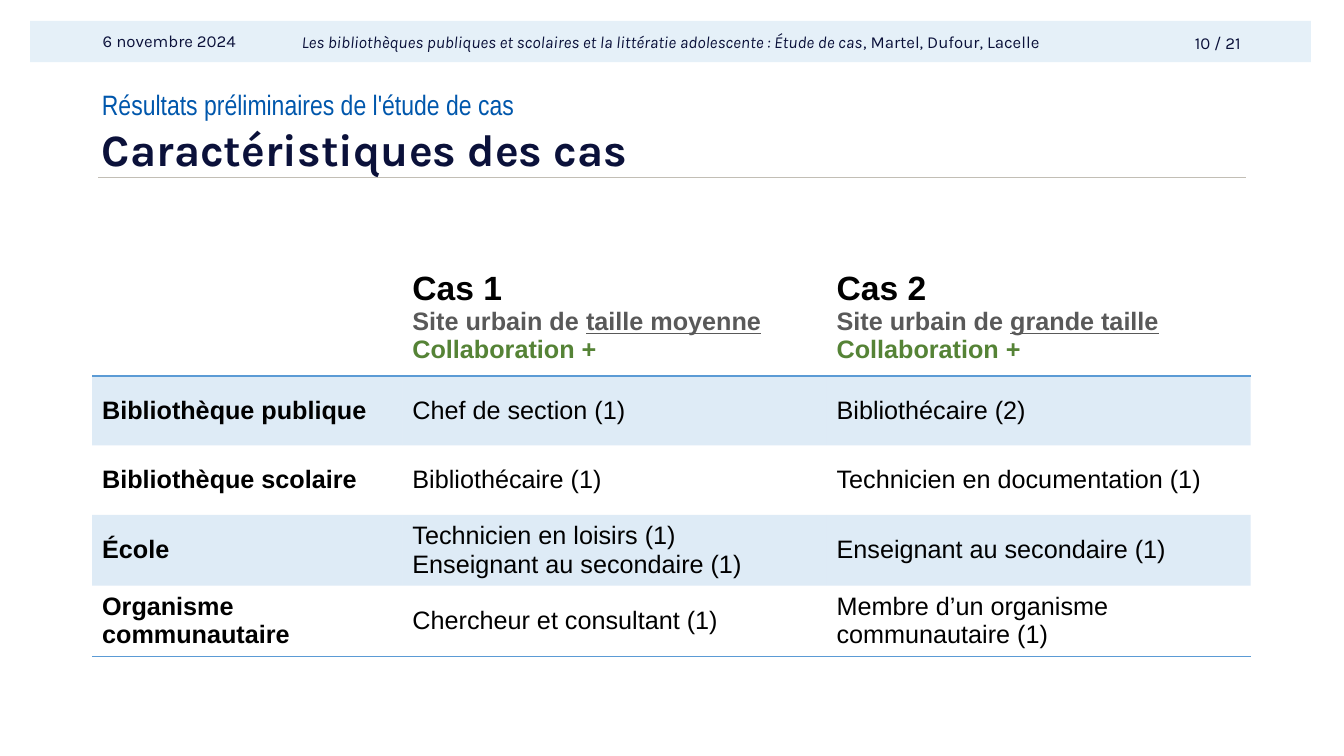
from lxml.etree import SubElement
from pptx import Presentation
from pptx.dml.color import RGBColor
from pptx.enum.shapes import MSO_CONNECTOR, MSO_SHAPE
from pptx.enum.text import MSO_ANCHOR, PP_ALIGN
from pptx.oxml.ns import qn
from pptx.util import Cm, Pt

NAVY = RGBColor(0x0B, 0x11, 0x3A)
BLUE = RGBColor(0x00, 0x57, 0xAC)
PALE_BLUE = RGBColor(0xE5, 0xF0, 0xF8)
TABLE_BLUE = RGBColor(0x5B, 0x9B, 0xD5)
RULE_GREY = RGBColor(0xC2, 0xBE, 0xB5)
TEXT_GREY = RGBColor(0x59, 0x59, 0x59)
GREEN = RGBColor(0x55, 0x83, 0x36)
BLACK = RGBColor(0x00, 0x00, 0x00)
NO_STYLE = "{2D5ABB26-0587-4C30-8999-92F81FD0307C}"


def add_run(paragraph, text, size, color, font="Arial", bold=False, italic=False, underline=False):
    run = paragraph.add_run()
    run.text = text
    run.font.name = font
    run.font.size = Pt(size)
    run.font.color.rgb = color
    run.font.bold = bold
    run.font.italic = italic
    run.font.underline = underline


def add_label(left, top, width, height, anchor, wrap=True):
    shape = slide.shapes.add_textbox(Cm(left), Cm(top), Cm(width), Cm(height))
    shape.text_frame.word_wrap = wrap
    shape.text_frame.vertical_anchor = anchor
    return shape.text_frame.paragraphs[0]


presentation = Presentation()
presentation.slide_width = Cm(33.87)
presentation.slide_height = Cm(19.05)
slide = presentation.slides.add_slide(presentation.slide_layouts[6])

banner = slide.shapes.add_shape(MSO_SHAPE.RECTANGLE, Cm(0.76), Cm(0.53), Cm(32.28), Cm(1.04))
banner.shadow.inherit = False
banner.fill.solid()
banner.fill.fore_color.rgb = PALE_BLUE
banner.line.fill.background()
banner.text_frame.vertical_anchor = MSO_ANCHOR.MIDDLE
paragraph = banner.text_frame.paragraphs[0]
paragraph.alignment = PP_ALIGN.CENTER
add_run(paragraph, "Les bibliothèques publiques et scolaires et la littératie adolescente : Étude de cas",
        12, NAVY, "Karla", italic=True)
add_run(paragraph, ", Martel, Dufour, Lacelle", 12, NAVY, "Karla")

paragraph = add_label(29.62, 0.69, 1.9, 0.76, MSO_ANCHOR.TOP, wrap=False)
paragraph.alignment = PP_ALIGN.RIGHT
add_run(paragraph, "10 / 21", 12, NAVY, "Karla")

paragraph = add_label(2.34, 0.53, 7.62, 1.02, MSO_ANCHOR.MIDDLE)
add_run(paragraph, "6 novembre 2024", 12, NAVY, "Karla")

paragraph = add_label(2.32, 2.08, 29.2, 0.89, MSO_ANCHOR.TOP)
add_run(paragraph, "Résultats préliminaires de l'étude de cas", 20, BLUE, "Arial Narrow")

title_rule = slide.shapes.add_connector(MSO_CONNECTOR.STRAIGHT, Cm(2.47), Cm(4.47), Cm(31.4), Cm(4.47))
title_rule.line.color.rgb = RULE_GREY
title_rule.line.width = Pt(1)
SubElement(title_rule._element.spPr, qn("a:effectLst"))

paragraph = add_label(2.32, 3, 29.2, 1.65, MSO_ANCHOR.MIDDLE)
paragraph.line_spacing = 0.9
add_run(paragraph, "Caractéristiques des cas", 32, NAVY, "Karla", bold=True)

case_headers = [("Cas 1", "taille moyenne"), ("Cas 2", "grande taille")]
participants = [
    ("Bibliothèque publique", "Chef de section (1)", "Bibliothécaire\u00a0(2)"),
    ("Bibliothèque scolaire", "Bibliothécaire (1)", "Technicien en documentation (1)"),
    ("École", "Technicien en loisirs (1)\nEnseignant au secondaire (1)", "Enseignant au secondaire (1)"),
    ("Organisme communautaire", "Chercheur et consultant (1)", "Membre d’un organisme communautaire (1)"),
]
column_widths = [7.82, 10.69, 10.69]
row_heights = [2.64] + [1.75] * len(participants)

table_frame = slide.shapes.add_table(len(row_heights), len(column_widths), Cm(2.32), Cm(6.68),
                                     Cm(sum(column_widths)), Cm(sum(row_heights)))
table = table_frame.table
table.first_row = False
table.horz_banding = False
table._tbl.tblPr.find(qn("a:tableStyleId")).text = NO_STYLE
for column, width in zip(table.columns, column_widths):
    column.width = Cm(width)
for row, height in zip(table.rows, row_heights):
    row.height = Cm(height)

for column_index, (case, town_size) in enumerate(case_headers, start=1):
    text_frame = table.cell(0, column_index).text_frame
    add_run(text_frame.paragraphs[0], case, 24, BLACK, bold=True)
    paragraph = text_frame.add_paragraph()
    add_run(paragraph, "Site urbain de ", 18, TEXT_GREY, bold=True)
    add_run(paragraph, town_size, 18, TEXT_GREY, bold=True, underline=True)
    add_run(text_frame.add_paragraph(), "Collaboration +", 18, GREEN, bold=True)

for row_index, entries in enumerate(participants, start=1):
    for column_index, entry in enumerate(entries):
        cell = table.cell(row_index, column_index)
        cell.vertical_anchor = MSO_ANCHOR.MIDDLE
        for line_index, line in enumerate(entry.split("\n")):
            text_frame = cell.text_frame
            paragraph = text_frame.add_paragraph() if line_index else text_frame.paragraphs[0]
            add_run(paragraph, line, 18, BLACK, bold=column_index == 0)

last_row = len(participants)
for row_index, row in enumerate(table.rows):
    for cell in row.cells:
        if row_index in (0, last_row):
            border = SubElement(cell._tc.get_or_add_tcPr(), qn("a:lnB"), w=str(Pt(1)))
            border_fill = SubElement(border, qn("a:solidFill"))
            SubElement(border_fill, qn("a:srgbClr"), val=str(TABLE_BLUE))
        if row_index % 2:
            cell.fill.solid()
            cell.fill.fore_color.rgb = TABLE_BLUE
            color = cell._tc.tcPr.find(qn("a:solidFill")).find(qn("a:srgbClr"))
            SubElement(color, qn("a:alpha"), val="20000")
        else:
            cell.fill.background()

presentation.save("out.pptx")
